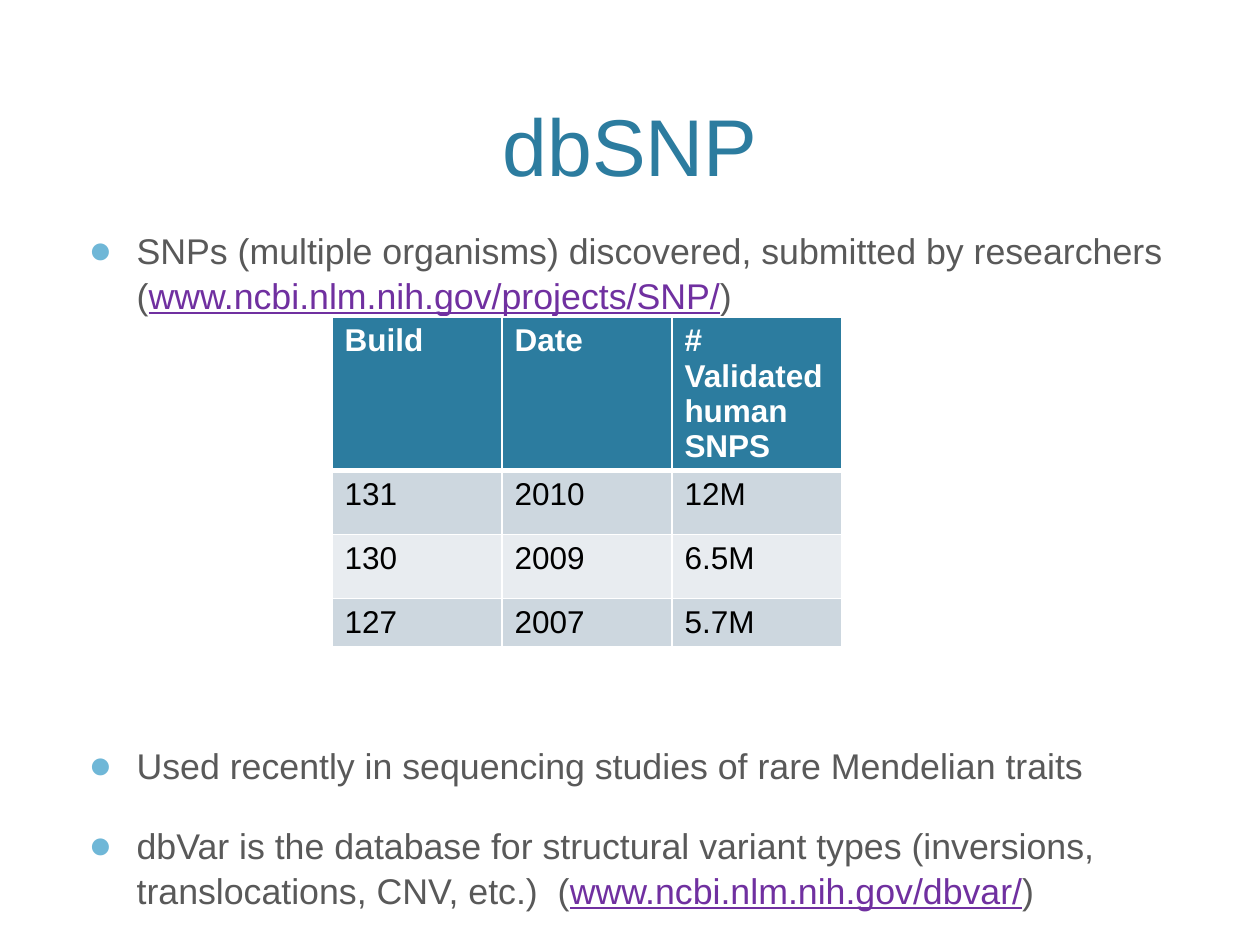
from lxml import etree
from pptx import Presentation
from pptx import util as u
from pptx.dml.color import RGBColor
from pptx.enum import text
from pptx.oxml.ns import qn

PX_PER_INCH = 126
FONT = "Arial"
TEAL = RGBColor(0x2C, 0x7C, 0x9F)
SKY = RGBColor(0x6F, 0xB7, 0xD7)
GRAY = RGBColor(0x59, 0x59, 0x59)
PURPLE = RGBColor(0x70, 0x30, 0xA0)
WHITE = RGBColor(0xFF, 0xFF, 0xFF)
BLACK = RGBColor(0, 0, 0)
BAND_DARK = RGBColor(0xCD, 0xD7, 0xDF)
BAND_LIGHT = RGBColor(0xE8, 0xEC, 0xF0)

BULLETS = [
    (0, ["SNPs (multiple organisms) discovered, submitted by researchers (",
         "www.ncbi.nlm.nih.gov/projects/SNP/", ")"]),
    (243, ["Used recently in sequencing studies of rare Mendelian traits"]),
    (20, ["dbVar is the database for structural variant types "
          "(inversions, translocations, CNV, etc.)  (",
          "www.ncbi.nlm.nih.gov/dbvar/", ")"]),
]
BUILDS = [
    ["Build", "Date", "# Validated human SNPS"],
    ["131", "2010", "12M"],
    ["130", "2009", "6.5M"],
    ["127", "2007", "5.7M"],
]
ROW_HEIGHTS = [152, 64, 64, 47]


def px(n):
    return u.Emu(round(n * 914400 / PX_PER_INCH))


def place(shape, box):
    shape.left, shape.top, shape.width, shape.height = map(px, box)


def add_text(p, content, size, color, bold=False, underline=False):
    r = p.add_run()
    r.text = content
    f = r.font
    f.name, f.size, f.bold, f.underline = FONT, u.Pt(size), bold, underline
    f.color.rgb = color


def add_bullet(p, indent):
    pPr = p._p.get_or_add_pPr()
    pPr.set("marL", str(px(indent)))
    pPr.set("indent", str(-px(indent)))
    color = etree.SubElement(pPr, qn("a:buClr"))
    etree.SubElement(color, qn("a:srgbClr"), val=str(SKY))
    etree.SubElement(pPr, qn("a:buSzPct"), val="110000")
    etree.SubElement(pPr, qn("a:buFont"), typeface=FONT)
    etree.SubElement(pPr, qn("a:buChar"), char="●")


def set_borders(cell, **widths):
    tcPr = cell._tc.get_or_add_tcPr()
    for side in ("L", "R", "T", "B"):
        width = u.Pt(widths.get(side, 1))
        ln = etree.SubElement(tcPr, qn(f"a:ln{side}"), w=str(width))
        fill = etree.SubElement(ln, qn("a:solidFill"))
        etree.SubElement(fill, qn("a:srgbClr"), val=str(WHITE))


def fill_title(sp, box):
    place(sp, box)
    tf = sp.text_frame
    tf.auto_size = text.MSO_AUTO_SIZE.NONE
    tf.vertical_anchor = text.MSO_ANCHOR.BOTTOM
    p = tf.paragraphs[0]
    p.alignment = text.PP_ALIGN.CENTER
    add_text(p, "dbSNP", 46, TEAL)


def fill_body(sp, box):
    place(sp, box)
    tf = sp.text_frame
    tf.auto_size = text.MSO_AUTO_SIZE.NONE
    tf.vertical_anchor = text.MSO_ANCHOR.TOP
    for i, (space, parts) in enumerate(BULLETS):
        p = tf.add_paragraph() if i else tf.paragraphs[0]
        add_bullet(p, 48)
        p.space_before = u.Pt(space)
        p.line_spacing = 1.05
        for part in parts:
            link = part.startswith("www.")
            add_text(p, part, 20.4, PURPLE if link else GRAY, underline=link)


def add_build_table(s, box):
    frame = s.shapes.add_table(len(BUILDS), len(BUILDS[0]), *map(px, box))
    table = frame.table
    for column in table.columns:
        column.width = px(box[2] // len(BUILDS[0]))
    for i, (values, height) in enumerate(zip(BUILDS, ROW_HEIGHTS)):
        table.rows[i].height = px(height)
        header = i == 0
        fill = TEAL if header else BAND_DARK if i % 2 else BAND_LIGHT
        for j, value in enumerate(values):
            cell = table.cell(i, j)
            set_borders(cell, T=3 if i == 1 else 1, B=3 if header else 1)
            cell.fill.solid()
            cell.fill.fore_color.rgb = fill
            add_text(cell.text_frame.paragraphs[0], value, 18,
                     WHITE if header else BLACK, bold=header)


def main():
    prs = Presentation()
    prs.slide_width, prs.slide_height = px(1260), px(945)
    s = prs.slides.add_slide(prs.slide_layouts[1])
    fill_title(s.shapes.title, (76, 15, 1108, 184))
    fill_body(s.placeholders[1], (76, 220, 1108, 599))
    add_build_table(s, (332, 317, 510, sum(ROW_HEIGHTS)))
    prs.save("out.pptx")


if __name__ == "__main__":
    main()
